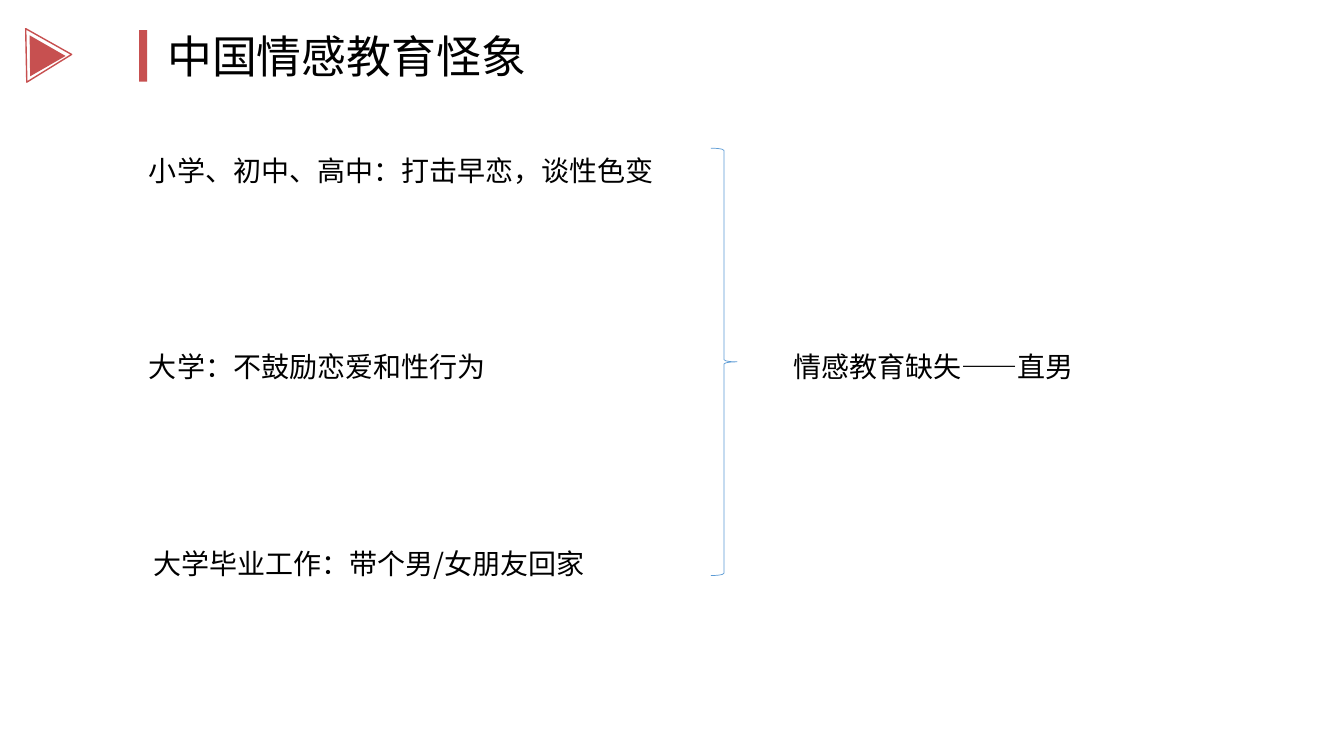
from lxml.etree import SubElement
from pptx import Presentation
from pptx.dml.color import RGBColor
from pptx.enum.shapes import MSO_SHAPE as Preset
from pptx.enum.text import MSO_ANCHOR as Anchor, MSO_AUTO_SIZE as AutoSize, PP_ALIGN as Align
from pptx.oxml.ns import qn
from pptx.util import Inches, Pt

COLORS = {"accent": "C75050", "brace": "5B9BD5", "text": "000000"}
FONT = "Noto Sans CJK SC"
TITLE_ONLY = 5


def write(shape, text, size=20, color="text", font_name=FONT):
    frame = shape.text_frame
    frame.word_wrap = True
    frame.auto_size = AutoSize.SHAPE_TO_FIT_TEXT
    frame.vertical_anchor = Anchor.TOP
    paragraph = frame.paragraphs[0]
    paragraph.alignment = Align.LEFT
    run = paragraph.add_run()
    run.text = text
    run.font.name = font_name
    run.font.size = Pt(size)
    run.font.color.rgb = RGBColor.from_string(COLORS[color])
    SubElement(run.font._element, qn("a:ea"), typeface=font_name)


class SlideBuilder:
    def __init__(self, presentation):
        self.width = presentation.slide_width
        self.height = presentation.slide_height
        self.slide = presentation.slides.add_slide(presentation.slide_layouts[TITLE_ONLY])

    def box(self, left, top, width, height):
        return (
            round(self.width * left / 100),
            round(self.height * top / 100),
            round(self.width * width / 100),
            round(self.height * height / 100),
        )

    def title(self, text, place, size=32):
        shape = self.slide.shapes.title
        shape.left, shape.top, shape.width, shape.height = self.box(*place)
        write(shape, text, size=size)

    def label(self, text, left, top, width, height=5.87):
        shape = self.slide.shapes.add_textbox(*self.box(left, top, width, height))
        write(shape, text)

    def shape(self, preset, place, fill=None, line=None, weight=1, rotation=0):
        shape = self.slide.shapes.add_shape(preset, *self.box(*place))
        shape.shadow.inherit = False
        shape.rotation = rotation
        if fill:
            shape.fill.solid()
            shape.fill.fore_color.rgb = RGBColor.from_string(COLORS[fill])
        else:
            shape.fill.background()
        if line:
            shape.line.color.rgb = RGBColor.from_string(COLORS[line])
            shape.line.width = Pt(weight)
        else:
            shape.line.fill.background()


def main():
    presentation = Presentation()
    presentation.slide_width = Inches(13.33)
    presentation.slide_height = Inches(7.5)
    builder = SlideBuilder(presentation)

    builder.shape(Preset.RECTANGLE, (10.35, 4, 0.6, 6.8), fill="accent")
    builder.title("中国情感教育怪象", (11.7, 3.07, 42.16, 8.53))
    builder.shape(Preset.ISOSCELES_TRIANGLE, (1.65, 4.27, 3.98, 6), line="accent", rotation=88.8)
    builder.shape(Preset.ISOSCELES_TRIANGLE, (1.35, 5.73, 3.08, 4.67), fill="accent", rotation=209.8)

    first_top, step = 19.6, 26
    stages = [
        ("小学、初中、高中：打击早恋，谈性色变", 10.35, 45.46),
        ("大学：不鼓励恋爱和性行为", 10.35, 34.06),
        ("大学毕业工作：带个男/女朋友回家", 10.65, 42.24),
    ]
    for index, (text, left, width) in enumerate(stages):
        builder.label(text, left, first_top + index * step, width)

    builder.shape(Preset.RIGHT_BRACE, (52.89, first_top, 1.95, 56.53), line="brace", weight=0.5)
    builder.label("情感教育缺失——直男", 58.29, first_top + step, 34.06)

    presentation.save("out.pptx")


if __name__ == "__main__":
    main()
